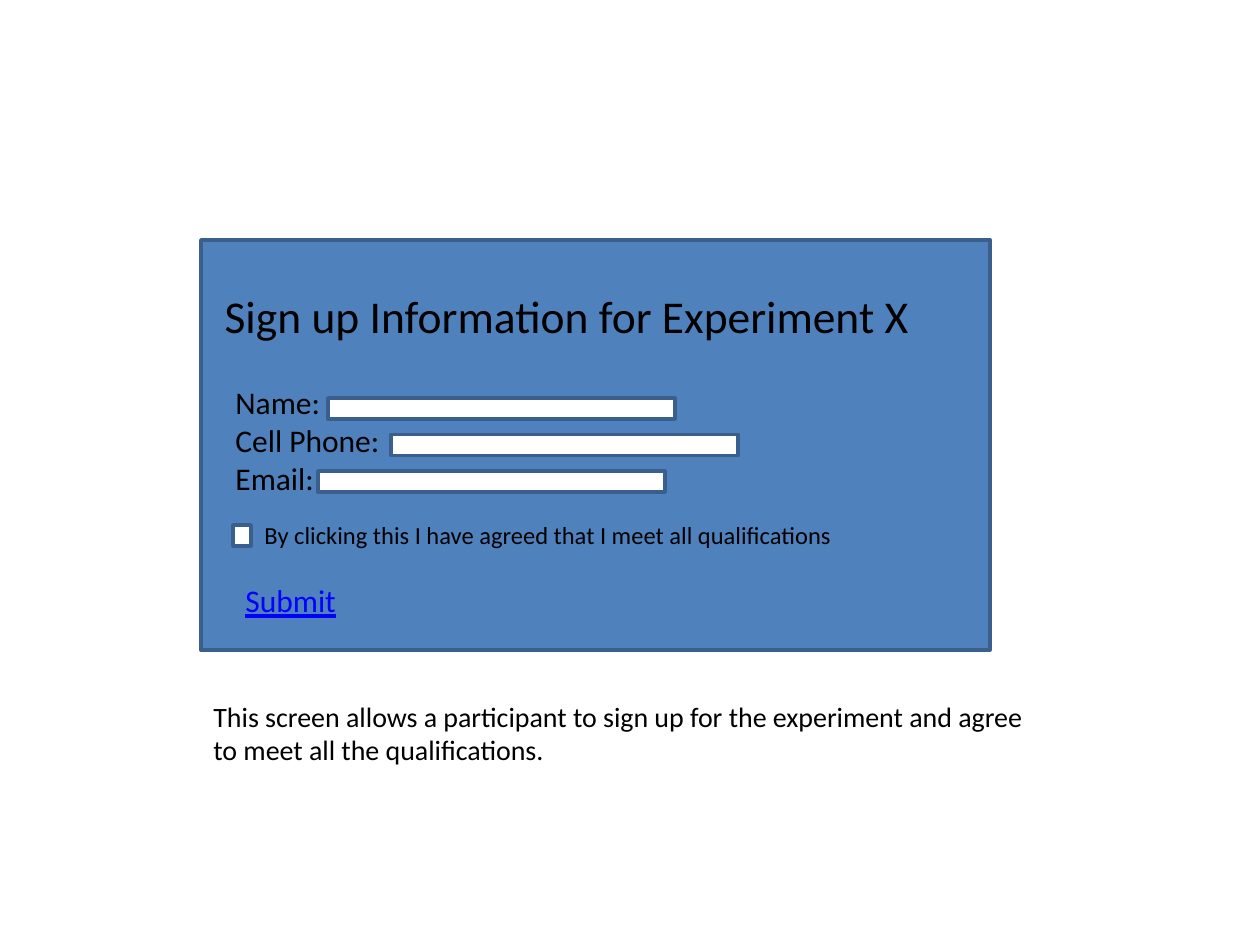
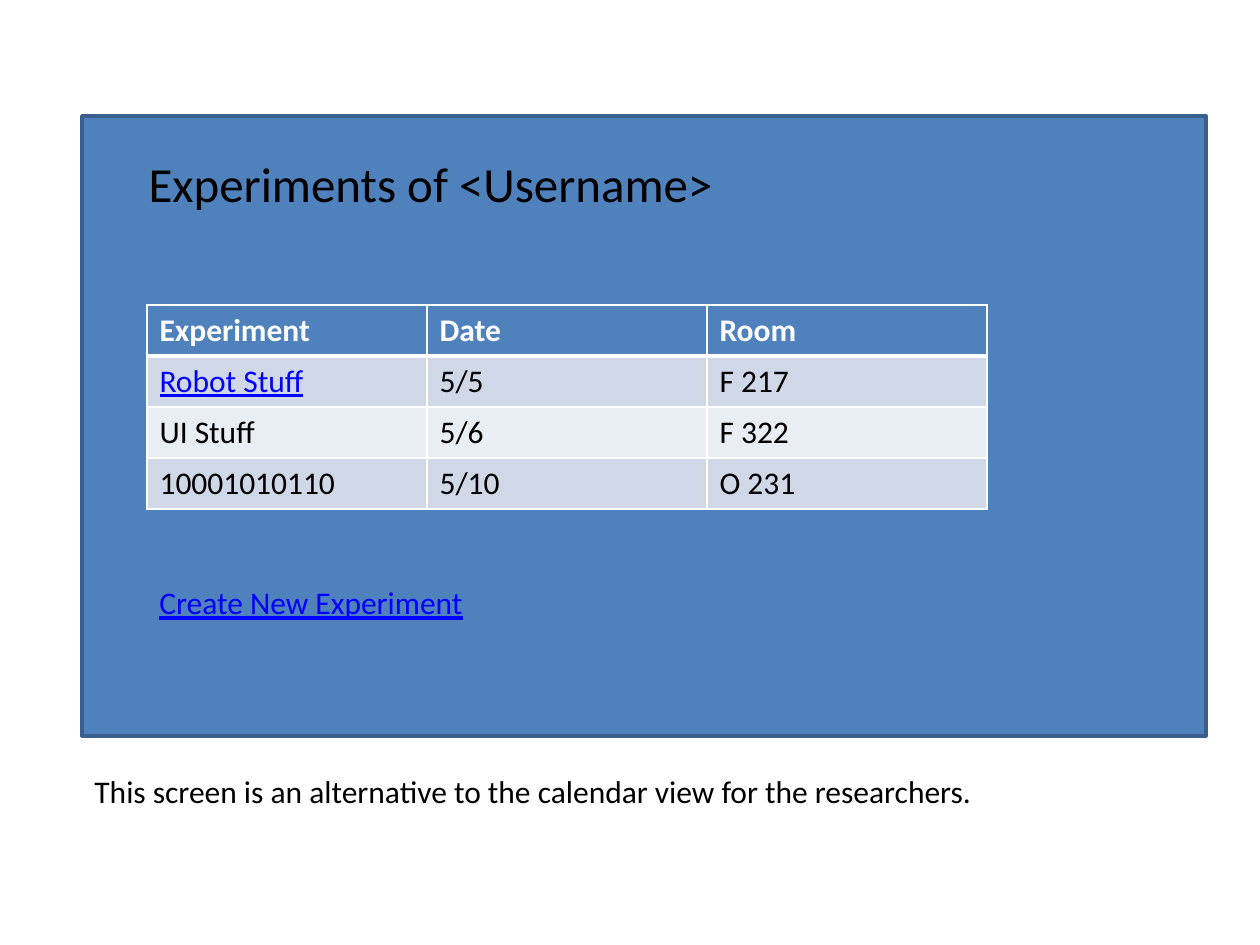
from dataclasses import dataclass

from lxml import etree
from pptx import Presentation
from pptx.dml.color import RGBColor
from pptx.enum.shapes import MSO_SHAPE
from pptx.enum.text import MSO_ANCHOR, MSO_AUTO_SIZE, PP_ALIGN
from pptx.oxml.ns import qn
from pptx.util import Emu, Pt

RECTANGLE = MSO_SHAPE.RECTANGLE
TOP = MSO_ANCHOR.TOP
LEFT = PP_ALIGN.LEFT
GROW = MSO_AUTO_SIZE.SHAPE_TO_FIT_TEXT
PX_PER_INCH = 126
TITLE_ONLY = 5


@dataclass(frozen=True)
class Theme:
    font: str = "Calibri"
    panel: str = "4F81BD"
    outline: str = "3A5F8C"
    white: str = "FFFFFF"
    ink: str = "000000"
    link: str = "0000FF"
    bands: tuple = ("D0D8E8", "E9EDF4")
    body: int = 18
    note: int = 16
    small: int = 14
    outline_width: int = 2
    grid_width: int = 1
    header_rule: int = 3


THEME = Theme()

SIGN_UP = {
    "panel": (201, 240, 789, 410),
    "title": ("Sign up Information for Experiment X", (212, 282, 766, 68), 26),
    "link": ("Submit", (233, 575, 284, 50)),
    "caption": (
        "This screen allows a participant to sign up for the experiment and agree "
        "to meet all the qualifications.",
        (201, 693, 838, 81), THEME.note),
}
FIELDS = [("Name:", 328), ("Cell Phone:", 391), ("Email:", 318)]
LABELS_BOX = (223, 377, 347, 127)
FIELD_TOP, FIELD_PITCH, FIELD_WIDTH, FIELD_HEIGHT = 398, 36.5, 347, 21
AGREEMENT = ("By clicking this I have agreed that I meet all qualifications",
             (252, 514, 650, 43))
CHECKBOX = (233, 525, 18, 21)

EXPERIMENT_LIST = {
    "panel": (82, 116, 1124, 620),
    "title": ("Experiments of <Username>", (136, 147, 955, 72), 28),
    "link": ("Create New Experiment", (147, 577, 336, 50)),
    "caption": (
        "This screen is an alternative to the calendar view for the researchers.",
        (82, 766, 926, 50), THEME.body),
}
EXPERIMENTS = [
    ("Experiment", "Date", "Room"),
    ("Robot Stuff", "5/5", "F 217"),
    ("UI Stuff", "5/6", "F 322"),
    ("10001010110", "5/10", "O 231"),
]
LINKED_EXPERIMENT = "Robot Stuff"
TABLE_LEFT, TABLE_TOP, COLUMN_WIDTH, ROW_HEIGHT = 147, 305, 280, 51


def px(length):
    return Emu(round(length * 914400 / PX_PER_INCH))


def place(box):
    return [px(length) for length in box]


def rgb(colour):
    return RGBColor.from_string(colour)


def add_run(paragraph, text, size, colour=THEME.ink, bold=False, underline=False):
    run = paragraph.add_run()
    run.text = text
    font = run.font
    font.name, font.size, font.bold = THEME.font, Pt(size), bold
    font.underline = underline
    font.color.rgb = rgb(colour)


def fill_frame(frame, lines, size, **style):
    frame.word_wrap = True
    frame.auto_size = GROW
    frame.vertical_anchor = TOP
    for index, line in enumerate(lines):
        paragraph = frame.add_paragraph() if index else frame.paragraphs[0]
        paragraph.alignment = LEFT
        add_run(paragraph, line, size, **style)


def add_text(slide, lines, box, size, **style):
    label = slide.shapes.add_textbox(*place(box))
    fill_frame(label.text_frame, lines, size, **style)


def add_box(slide, box, fill):
    outlined = slide.shapes.add_shape(RECTANGLE, *place(box))
    outlined.shadow.inherit = False
    outlined.fill.solid()
    outlined.fill.fore_color.rgb = rgb(fill)
    outlined.line.color.rgb = rgb(THEME.outline)
    outlined.line.width = Pt(THEME.outline_width)
    return outlined


def add_screen(deck, content):
    slide = deck.slides.add_slide(deck.slide_layouts[TITLE_ONLY])
    panel = add_box(slide, content["panel"], THEME.panel)

    heading, heading_box, heading_size = content["title"]
    title = slide.shapes.title
    title.left, title.top, title.width, title.height = place(heading_box)
    fill_frame(title.text_frame, [heading], heading_size)
    panel.element.addnext(title.element)

    action, action_box = content["link"]
    add_text(slide, [action], action_box, THEME.body, colour=THEME.link, underline=True)
    caption, caption_box, caption_size = content["caption"]
    add_text(slide, [caption], caption_box, caption_size)
    return slide


def add_form(slide):
    add_text(slide, [label for label, _ in FIELDS], LABELS_BOX, THEME.body)
    for index, (_, left) in enumerate(FIELDS):
        top = FIELD_TOP + index * FIELD_PITCH
        add_box(slide, (left, top, FIELD_WIDTH, FIELD_HEIGHT), THEME.white)
    agreement, agreement_box = AGREEMENT
    add_text(slide, [agreement], agreement_box, THEME.small)
    add_box(slide, CHECKBOX, THEME.white)


def set_borders(cell, widths):
    properties = cell._tc.get_or_add_tcPr()
    for index, (side, width) in enumerate(widths.items()):
        border = etree.Element(qn(f"a:ln{side}"), w=str(Pt(width)))
        solid = etree.SubElement(border, qn("a:solidFill"))
        etree.SubElement(solid, qn("a:srgbClr"), val=THEME.white)
        properties.insert(index, border)


def add_experiments(slide):
    rows, columns = len(EXPERIMENTS), len(EXPERIMENTS[0])
    box = (TABLE_LEFT, TABLE_TOP, columns * COLUMN_WIDTH, rows * ROW_HEIGHT)
    table = slide.shapes.add_table(rows, columns, *place(box)).table
    for row_index, experiment in enumerate(EXPERIMENTS):
        header = row_index == 0
        background = THEME.panel if header else THEME.bands[(row_index - 1) % 2]
        widths = dict.fromkeys("LRTB", THEME.grid_width)
        if row_index < 2:
            widths["B" if header else "T"] = THEME.header_rule
        for column_index, value in enumerate(experiment):
            linked = value == LINKED_EXPERIMENT
            colour = THEME.white if header else THEME.link if linked else THEME.ink
            cell = table.cell(row_index, column_index)
            cell.fill.solid()
            cell.fill.fore_color.rgb = rgb(background)
            set_borders(cell, widths)
            add_run(cell.text_frame.paragraphs[0], value, THEME.body, colour,
                    bold=header, underline=linked)


def main():
    deck = Presentation()
    deck.slide_width, deck.slide_height = px(1260), px(945)
    add_form(add_screen(deck, SIGN_UP))
    add_experiments(add_screen(deck, EXPERIMENT_LIST))
    deck.save("out.pptx")


if __name__ == "__main__":
    main()
